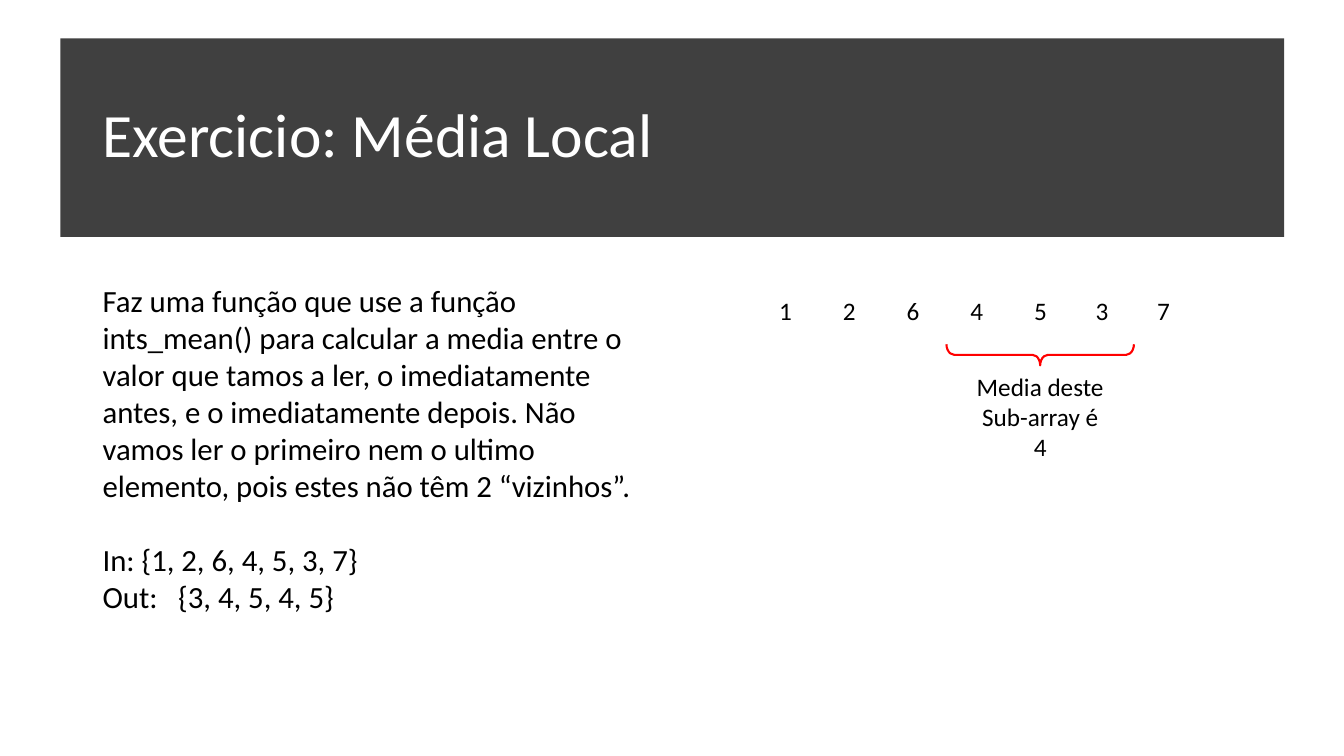
from dataclasses import dataclass
from itertools import accumulate

from lxml import etree
from pptx import Presentation
from pptx.dml.color import RGBColor
from pptx.enum import shapes, text
from pptx.oxml.ns import qn
from pptx.util import Pt


@dataclass(frozen=True)
class Theme:
    font: str = "Calibri"
    band: str = "404040"
    light: str = "FFFFFF"
    dark: str = "000000"
    accent: str = "FF0000"
    title: float = 44
    body: float = 22
    label: float = 18


class SlideBuilder:
    def __init__(self, s, theme):
        self.s = s
        self.theme = theme

    def shape(self, kind, x, y, w, h):
        sp = self.s.shapes.add_shape(kind, Pt(x), Pt(y), Pt(w), Pt(h))
        sp.shadow.inherit = False
        return sp

    def band(self, x, y, w, h):
        sp = self.shape(shapes.MSO_SHAPE.RECTANGLE, x, y, w, h)
        sp.fill.solid()
        sp.fill.fore_color.rgb = RGBColor.from_string(self.theme.band)
        sp.line.fill.background()

    def brace_below(self, center, y, w, h):
        """Draw a brace that opens upwards and points down at center."""
        middle = y + h / 2
        sp = self.shape(shapes.MSO_SHAPE.RIGHT_BRACE,
                        center - h / 2, middle - w / 2, h, w)
        sp.rotation = 90
        sp.adjustments[0] = 0.365
        sp.fill.background()
        sp.line.color.rgb = RGBColor.from_string(self.theme.accent)
        sp.line.width = Pt(1.5)

    def text(self, lines, x, y, w, h, size, color=None, wrap=True, tab=None):
        tb = self.s.shapes.add_textbox(Pt(x), Pt(y), Pt(w), Pt(h))
        tf = tb.text_frame
        tf.word_wrap = wrap
        for i, line in enumerate(lines):
            p = tf.paragraphs[0] if i == 0 else tf.add_paragraph()
            p.text = line
            if tab and "\t" in line:
                tabs = etree.SubElement(p._p.get_or_add_pPr(), qn("a:tabLst"))
                etree.SubElement(tabs, qn("a:tab"), pos=str(Pt(tab)), algn="l")
            p.font.name = self.theme.font
            p.font.size = Pt(size)
            p.font.color.rgb = RGBColor.from_string(color or self.theme.dark)
        return tf

    def label(self, lines, center, y, w, h):
        tf = self.text(lines, center - w / 2, y, w, h, self.theme.label, wrap=False)
        for p in tf.paragraphs:
            p.alignment = text.PP_ALIGN.CENTER


def main():
    prs = Presentation()
    prs.slide_width, prs.slide_height = Pt(960), Pt(540)
    theme = Theme()
    slide = SlideBuilder(prs.slides.add_slide(prs.slide_layouts[6]), theme)

    slide.band(43.2, 27.4, 874, 141.8)
    title = slide.text(["Exercicio: Média Local"], 66.2, 46.1, 828, 104.4,
                       theme.title, theme.light)
    title.vertical_anchor = text.MSO_ANCHOR.MIDDLE
    title.paragraphs[0].line_spacing = 0.9

    task = slide.text([
        "Faz uma função que use a função ints_mean() para calcular a media "
        "entre o valor que tamos a ler, o imediatamente antes, e o "
        "imediatamente depois. Não vamos ler o primeiro nem o ultimo "
        "elemento, pois estes não têm 2 “vizinhos”.",
        "In: {1, 2, 6, 4, 5, 3, 7}",
        "Out:\t{3, 4, 5, 4, 5}",
    ], 66.2, 198, 394.6, 288, theme.body, tab=54)
    task.paragraphs[1].space_before = Pt(26.4)

    values = [1, 2, 6, 4, 5, 3, 7]
    steps = [45.5] * 4 + [44] * 2
    centers = list(accumulate(steps, initial=561))
    for value, center in zip(values, centers):
        slide.label([str(value)], center, 207.4, 23, 28.8)

    middle = centers[values.index(5)]
    slide.brace_below(middle, 245.9, 133.9, 15.1)
    slide.label(["Media deste", "Sub-array é", "4"], middle, 261.4, 105.1, 72)

    prs.save("out.pptx")


if __name__ == "__main__":
    main()
